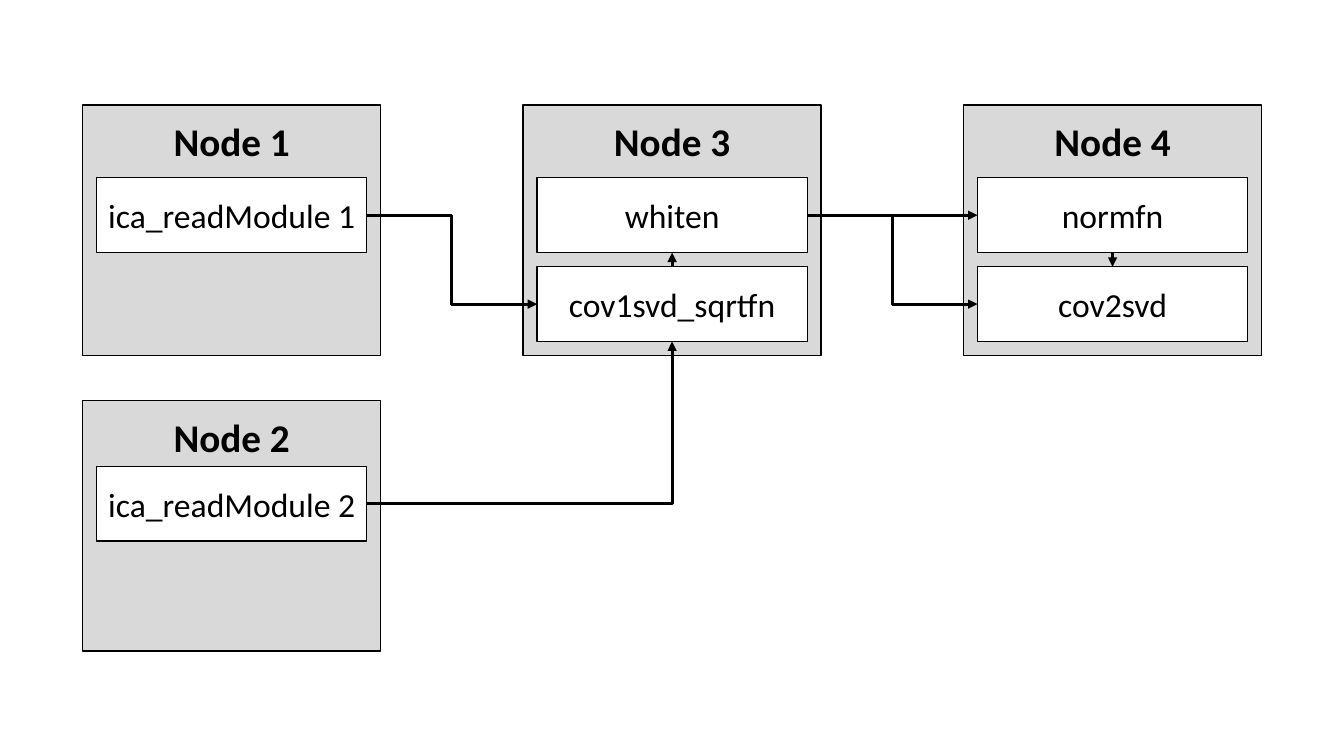
from dataclasses import dataclass

from lxml.etree import SubElement
from pptx import Presentation
from pptx.dml.color import RGBColor as RGB
from pptx.enum.shapes import MSO_CONNECTOR as CONN, MSO_SHAPE as SHAPE
from pptx.enum.text import MSO_ANCHOR as ANCHOR, PP_ALIGN as ALIGN
from pptx.oxml.ns import qn
from pptx.util import Inches, Pt


@dataclass(frozen=True)
class Theme:
    font: str = "Calibri"
    ink: RGB = RGB(0, 0, 0)
    node_fill: RGB = RGB(0xD9, 0xD9, 0xD9)
    module_fill: RGB = RGB(0xFF, 0xFF, 0xFF)
    node_size: Pt = Pt(28)
    module_size: Pt = Pt(24)
    border: Pt = Pt(1)
    arrow: Pt = Pt(2.25)


@dataclass(frozen=True)
class Box:
    x: float
    y: float
    w: float
    h: float


THEME = Theme()
WIDTH, HEIGHT = Inches(13.33), Inches(7.5)
COL, ROW = WIDTH / 96, HEIGHT / 54
NODE_X, NODE_Y, NODE_W, NODE_H = 5.9, 7.5, 21.3, 17.9
NODE_DX, NODE_DY = 31.46, 21.1
GAP, MODULE_H = 1, 5.35
TOP, LEFT, BOTTOM, RIGHT = range(4)

NODES = [
    ("Node 1", 0, 0, 5.2, ["ica_readModule 1"]),
    ("Node 2", 0, 1, 4.7, ["ica_readModule 2"]),
    ("Node 3", 1, 0, 5.2, ["whiten", "cov1svd_sqrtfn"]),
    ("Node 4", 2, 0, 5.2, ["normfn", "cov2svd"]),
]
FLOWS = [
    ("cov1svd_sqrtfn", TOP, "whiten", BOTTOM, "line"),
    ("normfn", BOTTOM, "cov2svd", TOP, "line"),
    ("ica_readModule 2", RIGHT, "cov1svd_sqrtfn", BOTTOM, "bentConnector2"),
    ("ica_readModule 1", RIGHT, "cov1svd_sqrtfn", LEFT, "bentConnector3"),
    ("whiten", RIGHT, "normfn", LEFT, "line"),
    ("whiten", RIGHT, "cov2svd", LEFT, "bentConnector3"),
]


def add_box(s, box, text, fill, size, bold=False, anchor=ANCHOR.MIDDLE):
    sp = s.shapes.add_shape(SHAPE.RECTANGLE, round(box.x * COL), round(box.y * ROW),
                            round(box.w * COL), round(box.h * ROW))
    sp.shadow.inherit = False
    sp.fill.solid()
    sp.fill.fore_color.rgb = fill
    sp.line.color.rgb = THEME.ink
    sp.line.width = THEME.border
    tf = sp.text_frame
    tf.word_wrap = True
    tf.vertical_anchor = anchor
    tf.margin_left = tf.margin_right = 0
    tf.margin_top = tf.margin_bottom = round(0.9 * ROW) if bold else Inches(0.05)
    p = tf.paragraphs[0]
    p.alignment = ALIGN.CENTER
    r = p.add_run()
    r.text = text
    r.font.name, r.font.size, r.font.bold = THEME.font, size, bold
    r.font.color.rgb = THEME.ink
    return sp


def add_node(s, box, title, offset, names):
    add_box(s, box, title, THEME.node_fill, THEME.node_size, True, ANCHOR.TOP)
    modules = {}
    for i, name in enumerate(names):
        module = Box(box.x + GAP, box.y + offset + i * (MODULE_H + GAP),
                     box.w - 2 * GAP, MODULE_H)
        modules[name] = add_box(s, module, name, THEME.module_fill, THEME.module_size)
    return modules


def add_flow(s, source, start, target, end, kind):
    style = CONN.STRAIGHT if kind == "line" else CONN.ELBOW
    cx = s.shapes.add_connector(style, 0, 0, 0, 0)
    cx.begin_connect(source, start)
    cx.end_connect(target, end)
    cx.line.color.rgb = THEME.ink
    cx.line.width = THEME.arrow
    sp_pr = cx._element.spPr
    sp_pr.find(qn("a:prstGeom")).set("prst", kind)
    SubElement(sp_pr.find(qn("a:ln")), qn("a:tailEnd"), type="triangle")
    SubElement(sp_pr, qn("a:effectLst"))


def add_pipeline(s):
    modules = {}
    for title, col, row, offset, names in NODES:
        box = Box(NODE_X + col * NODE_DX, NODE_Y + row * NODE_DY, NODE_W, NODE_H)
        modules.update(add_node(s, box, title, offset, names))
    for source, start, target, end, kind in FLOWS:
        add_flow(s, modules[source], start, modules[target], end, kind)


prs = Presentation()
prs.slide_width, prs.slide_height = WIDTH, HEIGHT
add_pipeline(prs.slides.add_slide(prs.slide_layouts[6]))
prs.save("out.pptx")
